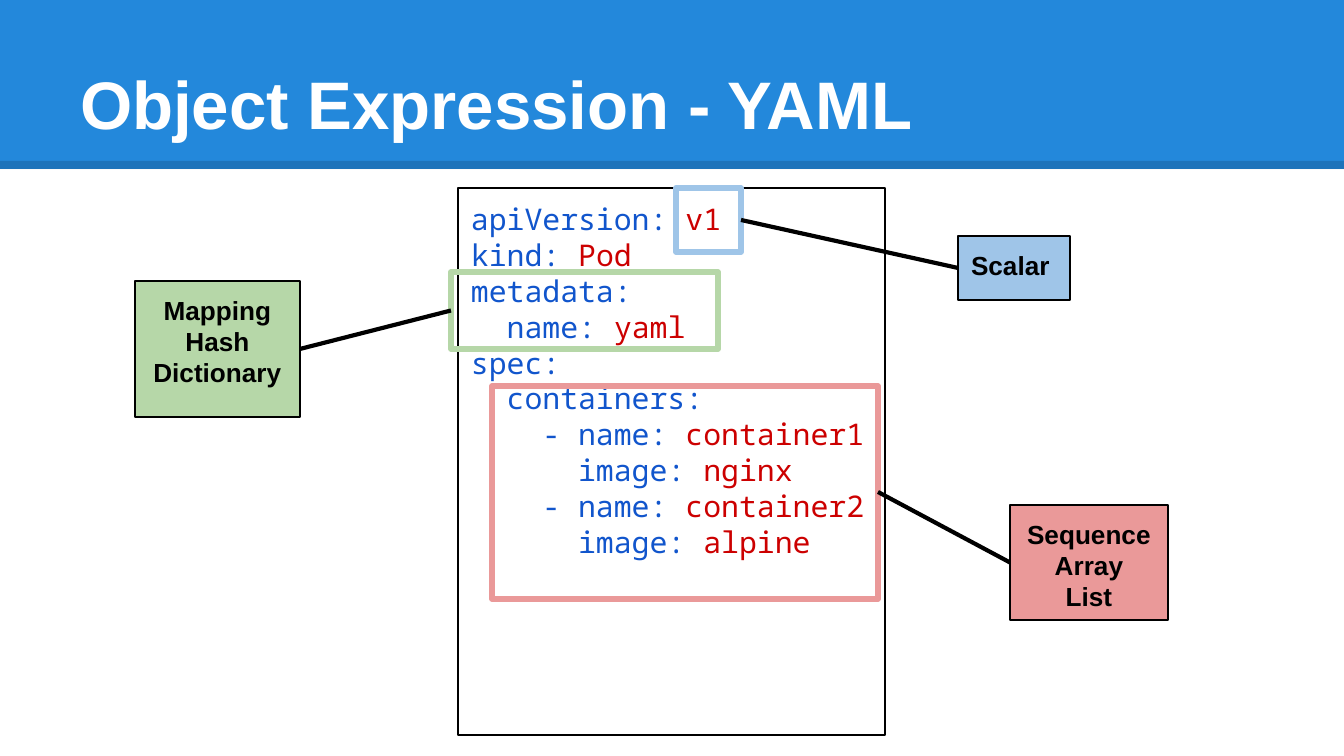
from lxml import etree
from pptx import Presentation
from pptx.dml.color import RGBColor
from pptx.enum.shapes import MSO_CONNECTOR, MSO_SHAPE
from pptx.enum.text import MSO_ANCHOR, MSO_AUTO_SIZE, PP_ALIGN
from pptx.oxml.ns import qn
from pptx.util import Emu, Pt

RECTANGLE = MSO_SHAPE.RECTANGLE
STRAIGHT = MSO_CONNECTOR.STRAIGHT
TOP, BOTTOM = MSO_ANCHOR.TOP, MSO_ANCHOR.BOTTOM
LEFT, CENTER = PP_ALIGN.LEFT, PP_ALIGN.CENTER
LEFT_SIDE, RIGHT_SIDE = 1, 3

# Content
TITLE = "Object Expression - YAML"
KEY_COLOR, VALUE_COLOR = "1155CC", "CC0000"
CODE = [
    ("apiVersion: ", "v1"),
    ("kind: ", "Pod"),
    ("metadata:", ""),
    ("  name: ", "yaml"),
    ("spec:", ""),
    ("  containers:", ""),
    ("    - name: ", "container1"),
    ("      image: ", "nginx"),
    ("    - name: ", "container2"),
    ("      image: ", "alpine"),
]
# Each callout: color, frame around code, label box, label text, alignment,
# label side, and the line's start if it is not the middle of the frame's side
CALLOUTS = [
    ("EA9999", (492, 386, 386, 213), (1010, 505, 158, 115),
     "Sequence\nArray\nList", CENTER, LEFT_SIDE, (878, 492)),
    ("B6D7A8", (451, 272, 267, 77), (135, 281, 165, 136),
     "Mapping\nHash\nDictionary", CENTER, RIGHT_SIDE, None),
    ("9FC5E8", (676, 188, 65, 64), (958, 236, 112, 64),
     "Scalar", LEFT, LEFT_SIDE, None),
]
SLIDE_WIDTH, SLIDE_HEIGHT = 1344, 756
PADDING = 13


def px(value):
    return Emu(round(value * 914400 / 134.4))


def color(hex_string):
    return RGBColor.from_string(hex_string)


def add_box(slide, box, fill=None, line=None, line_width=0.75):
    shape = slide.shapes.add_shape(RECTANGLE, *map(px, box))
    shape.shadow.inherit = False
    if fill:
        shape.fill.solid()
        shape.fill.fore_color.rgb = color(fill)
    else:
        shape.fill.background()
    if line:
        shape.line.color.rgb = color(line)
        shape.line.width = Pt(line_width)
    else:
        shape.line.fill.background()
    return shape


def add_line(slide, start, end, width):
    connector = slide.shapes.add_connector(STRAIGHT, *map(px, start + end))
    connector.line.color.rgb = color("000000")
    connector.line.width = Pt(width)
    etree.SubElement(connector._element.spPr, qn("a:effectLst"))
    return connector


def prepare_text(shape, anchor):
    frame = shape.text_frame
    frame.word_wrap = True
    frame.auto_size = MSO_AUTO_SIZE.NONE
    frame.vertical_anchor = anchor
    frame.margin_left = frame.margin_right = px(PADDING)
    frame.margin_top = frame.margin_bottom = px(PADDING)
    return frame


def style(paragraph, name, size, hex_string, bold, alignment):
    paragraph.alignment = alignment
    paragraph.line_spacing = 1.0
    font = paragraph.font
    font.name, font.size, font.bold = name, Pt(size), bold
    font.color.rgb = color(hex_string)


def add_header(slide):
    # Band and its translucent lower edge go behind the title
    add_box(slide, (0, 0, SLIDE_WIDTH, 169), fill="2388DB")
    edge = add_line(slide, (0, 165), (SLIDE_WIDTH, 165), 4.5)
    black = edge._element.spPr.find(".//" + qn("a:srgbClr"))
    etree.SubElement(black, qn("a:alpha"), val="15000")

    title = slide.shapes.title
    slide.shapes._spTree.append(title._element)
    title.left, title.top, title.width, title.height = map(px, (67, 30, 1210, 126))
    frame = prepare_text(title, BOTTOM)
    frame.text = TITLE
    style(frame.paragraphs[0], "Arial", 36, "FFFFFF", True, LEFT)


def add_code(slide):
    panel = add_box(slide, (458, 188, 427, 547), line="000000")
    frame = prepare_text(panel, TOP)
    for index, line in enumerate(CODE):
        paragraph = frame.add_paragraph() if index else frame.paragraphs[0]
        style(paragraph, "Noto Sans Mono", 16, KEY_COLOR, False, LEFT)
        for text, text_color in zip(line, (KEY_COLOR, VALUE_COLOR)):
            if text:
                run = paragraph.add_run()
                run.text = text
                run.font.color.rgb = color(text_color)


def add_callout(slide, hue, frame_box, label_box, text, alignment, side, start):
    frame = add_box(slide, frame_box, line=hue, line_width=3)
    label = add_box(slide, label_box, fill=hue, line="000000")
    paragraph = prepare_text(label, TOP).paragraphs[0]
    paragraph.text = text
    style(paragraph, "Arial", 14, "000000", True, alignment)

    connector = add_line(slide, start or (0, 0), (0, 0), 2.25)
    if not start:
        connector.begin_connect(frame, LEFT_SIDE + RIGHT_SIDE - side)
    connector.end_connect(label, side)


def main():
    presentation = Presentation()
    presentation.slide_width = px(SLIDE_WIDTH)
    presentation.slide_height = px(SLIDE_HEIGHT)
    slide = presentation.slides.add_slide(presentation.slide_layouts[5])
    add_header(slide)
    add_code(slide)
    for callout in CALLOUTS:
        add_callout(slide, *callout)
    presentation.save("out.pptx")


if __name__ == "__main__":
    main()
